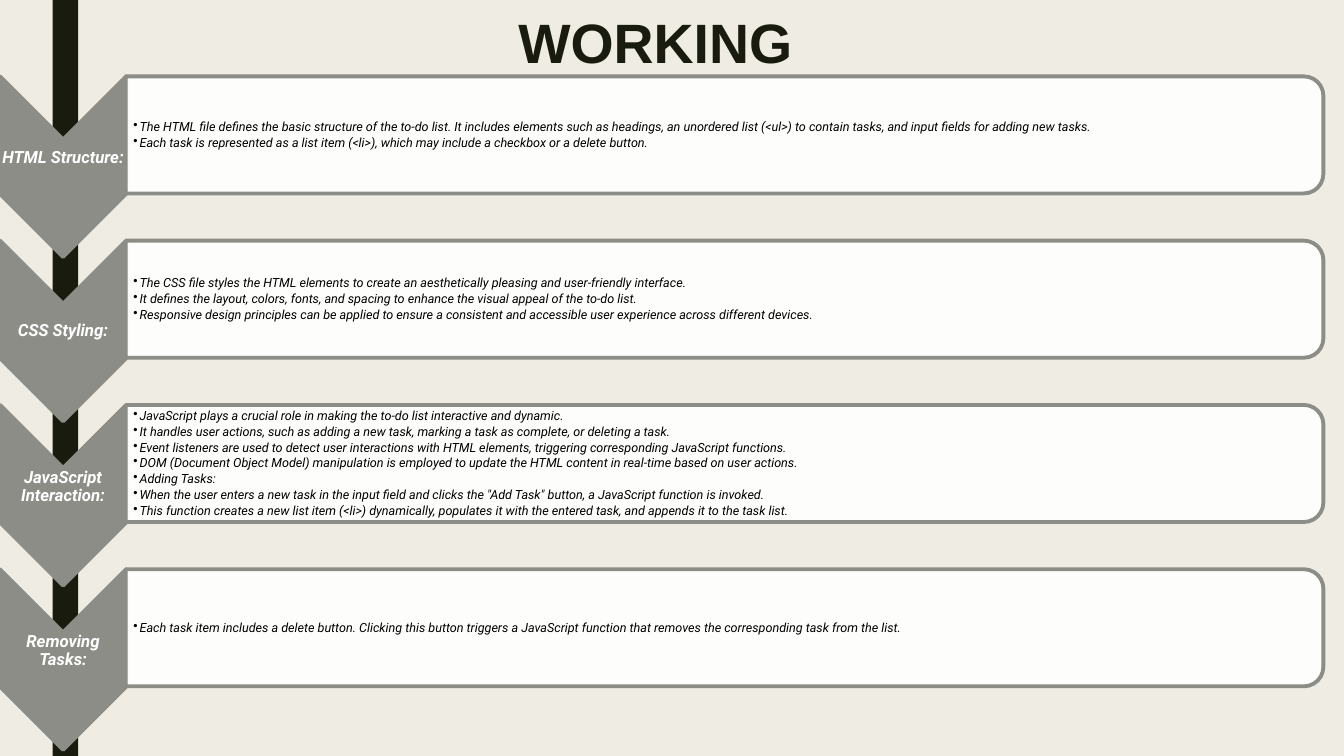
"""Builds the WORKING slide: four chevron steps beside boxed bullet lists."""
from lxml import etree
from pptx import Presentation
from pptx.dml.color import RGBColor
from pptx.enum.shapes import MSO_SHAPE
from pptx.enum.text import MSO_ANCHOR, PP_ALIGN
from pptx.oxml.ns import qn
from pptx.util import Cm, Pt

RECT = MSO_SHAPE.RECTANGLE
CHEVRON = MSO_SHAPE.CHEVRON
PANEL = MSO_SHAPE.ROUND_2_SAME_RECTANGLE
CENTER, LEFT = PP_ALIGN.CENTER, PP_ALIGN.LEFT
TOP, MIDDLE = MSO_ANCHOR.TOP, MSO_ANCHOR.MIDDLE

COLORS = {"back": "EFEDE3", "dark": "191B0E", "gray": "8C8D86",
          "white": "FFFFFF", "black": "000000"}
START, PITCH = 3.4, 4.14

STEPS = [
    ("HTML Structure:", 0.45, [
        "The HTML file defines the basic structure of the to-do list. It includes elements such as headings, "
        "an unordered list (<ul>) to contain tasks, and input fields for adding new tasks.",
        "Each task is represented as a list item (<li>), which may include a checkbox or a delete button."]),
    ("CSS Styling:", 0.03, [
        "The CSS file styles the HTML elements to create an aesthetically pleasing and user-friendly interface.",
        "It defines the layout, colors, fonts, and spacing to enhance the visual appeal of the to-do list.",
        "Responsive design principles can be applied to ensure a consistent and accessible user experience "
        "across different devices."]),
    ("JavaScript Interaction:", 0.45, [
        "JavaScript plays a crucial role in making the to-do list interactive and dynamic.",
        "It handles user actions, such as adding a new task, marking a task as complete, or deleting a task.",
        "Event listeners are used to detect user interactions with HTML elements, triggering corresponding "
        "JavaScript functions.",
        "DOM (Document Object Model) manipulation is employed to update the HTML content in real-time based "
        "on user actions.",
        "Adding Tasks:",
        "When the user enters a new task in the input field and clicks the \"Add Task\" button, a JavaScript "
        "function is invoked.",
        "This function creates a new list item (<li>) dynamically, populates it with the entered task, and "
        "appends it to the task list."]),
    ("Removing Tasks:", 0.45, [
        "Each task item includes a delete button. Clicking this button triggers a JavaScript function that "
        "removes the corresponding task from the list."]),
]


class Deck:
    """Holds the style and the current slide."""

    def __init__(self, show):
        self.slide = show.slides.add_slide(show.slide_layouts[6])
        self.font = "Roboto"
        fill = self.slide.background.fill
        fill.solid()
        fill.fore_color.rgb = self.color("back")

    def color(self, name):
        return RGBColor.from_string(COLORS[name])

    def shape(self, kind, mid, size, fill, line=None, turn=0, alpha=None):
        (x, y), (w, h) = mid, size
        item = self.slide.shapes.add_shape(kind, Cm(x - w / 2), Cm(y - h / 2), Cm(w), Cm(h))
        item.shadow.inherit = False
        item.rotation = turn
        item.fill.solid()
        item.fill.fore_color.rgb = self.color(fill)
        if alpha:
            tint = item.fill._xPr.find(qn("a:solidFill"))[0]
            etree.SubElement(tint, qn("a:alpha")).set("val", str(alpha * 1000))
        if line:
            item.line.color.rgb = self.color(line)
            item.line.width = Pt(2.75)
        else:
            item.line.fill.background()

    def text(self, lines, box, size, color, inset, align=CENTER, anchor=MIDDLE,
             font=None, bold=True, slant=True, gap=0):
        frame = self.slide.shapes.add_textbox(*map(Cm, box)).text_frame
        frame.word_wrap = True
        frame.vertical_anchor = anchor
        (frame.margin_left, frame.margin_top,
         frame.margin_right, frame.margin_bottom) = map(Cm, inset)
        frame.text = "\n".join(lines)
        for para in frame.paragraphs:
            para.alignment = align
            para.line_spacing = 0.9
            para.space_after = Pt(gap)
            for run in para.runs:
                run.font.name = font or self.font
                run.font.size = Pt(size)
                run.font.bold = bold
                run.font.italic = slant
                run.font.color.rgb = self.color(color)
        return frame

    def bullets(self, lines, box):
        frame = self.text(lines, box, 9, "black", (0.18, 0.03, 0.03, 0.03),
                          align=LEFT, bold=False, gap=1.5)
        for para in frame.paragraphs:
            para.level = 1
            props = para._p.get_or_add_pPr()
            props.set("marL", str(Cm(0.16)))
            props.set("indent", str(Cm(-0.16)))
            etree.SubElement(props, qn("a:buChar")).set("char", "•")

    def step(self, mid, label, foot, lines):
        self.shape(CHEVRON, (1.59, mid + 0.8), (4.55, 3.18), "gray", "gray", 90)
        self.text([label], (0, mid + 0.11, 3.18, 1.37), 12, "white", (0.03, 0.03, 0.03, foot))
        self.shape(PANEL, (18.26, mid), (2.95, 30.18), "white", "gray", 90, 90)
        self.bullets(lines, (3.18, mid - 1.33, 30.05, 2.67))


def main():
    show = Presentation()
    show.slide_width, show.slide_height = Cm(33.87), Cm(19.05)
    deck = Deck(show)
    deck.shape(RECT, (1.65, 9.525), (0.64, 19.05), "dark")
    deck.text(["WORKING"], (3.18, 0.15, 26.67, 1.5), 39.6, "dark", (0.25, 0.25, 0.25, 0),
              anchor=TOP, font="Arial", slant=False)
    for row, (label, foot, lines) in enumerate(STEPS):
        deck.step(START + row * PITCH, label, foot, lines)
    show.save("out.pptx")


if __name__ == "__main__":
    main()
